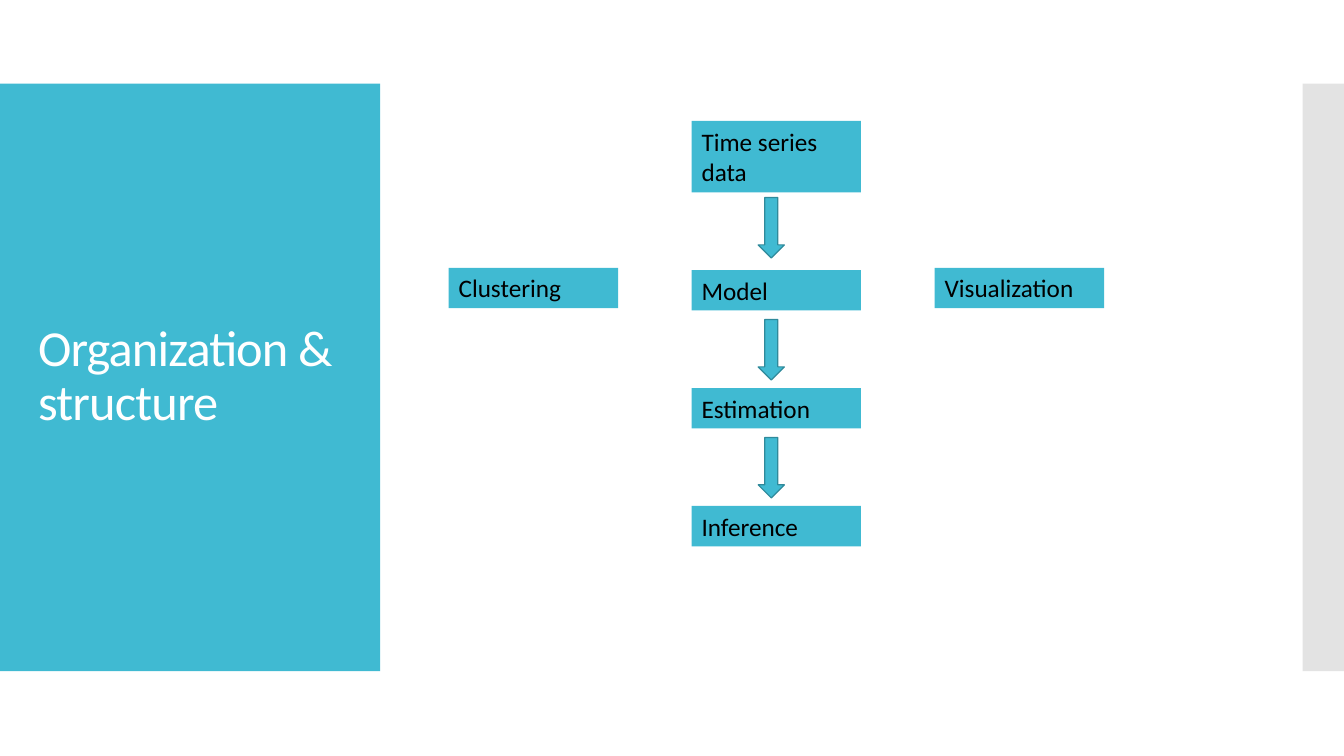
from lxml import etree
from pptx import Presentation
from pptx.dml.color import RGBColor
from pptx.enum.shapes import MSO_SHAPE
from pptx.enum.text import MSO_ANCHOR, MSO_AUTO_SIZE, PP_ALIGN
from pptx.oxml.ns import qn
from pptx.util import Inches, Pt

RECTANGLE, DOWN_ARROW = MSO_SHAPE.RECTANGLE, MSO_SHAPE.DOWN_ARROW
MIDDLE, TOP = MSO_ANCHOR.MIDDLE, MSO_ANCHOR.TOP
LEFT = PP_ALIGN.LEFT
GROW = MSO_AUTO_SIZE.SHAPE_TO_FIT_TEXT

SLIDE_W, SLIDE_H = 13.33, 7.5
BAND_TOP, BAND_H = 0.83, 5.83

# Flow grid: left edge of column 0, bottom edge of row 0, and the steps
GRID_LEFT, GRID_BOTTOM = 4.45, 1.91
COLUMN, ROW = 2.41, 1.17
BOX_W, ONE_LINE, TWO_LINES = 1.68, 0.4, 0.71
ARROW_W, ARROW_H, ARROW_INSET = 0.26, 0.6, 0.66

STEPS = [
    ("Time series data", 1, 0, TWO_LINES),
    ("Model", 1, 1, ONE_LINE),
    ("Estimation", 1, 2, ONE_LINE),
    ("Clustering", 0, 0.98, ONE_LINE),
    ("Visualization", 2, 0.98, ONE_LINE),
    ("Inference", 1, 3, ONE_LINE),
]
ARROW_GAPS = (0.05, 0.09, 0.09)


def rgb(code):
    return RGBColor.from_string(code)


class FlowSlide:
    font = "Calibri"
    accent, outline = "40BAD2", "2F8A9B"
    title_ink, step_ink = "FFFFFF", "000000"

    def __init__(self, slide):
        self.slide = slide

    def shape(self, kind, left, top, width, height, fill):
        shape = self.slide.shapes.add_shape(
            kind, Inches(left), Inches(top), Inches(width), Inches(height))
        shape.shadow.inherit = False
        shape.fill.solid()
        shape.fill.fore_color.rgb = rgb(fill)
        shape.line.fill.background()
        return shape

    def band(self, left, width, fill, opacity=100):
        """Full-height side panel; opacity is in percent."""
        panel = self.shape(RECTANGLE, left, BAND_TOP, width, BAND_H, fill)
        if opacity < 100:
            color = panel._element.spPr.find(qn("a:solidFill"))[0]
            etree.SubElement(color, qn("a:alpha"), val=str(opacity * 1000))

    def add_text(self, frame, text, size, color, anchor):
        frame.word_wrap = True
        frame.vertical_anchor = anchor
        paragraph = frame.paragraphs[0]
        paragraph.alignment = LEFT
        run = paragraph.add_run()
        run.text = text
        run.font.name = self.font
        run.font.size = Pt(size)
        run.font.color.rgb = rgb(color)
        return paragraph, run

    def title(self, text, left, top, width, height):
        box = self.slide.shapes.add_textbox(
            Inches(left), Inches(top), Inches(width), Inches(height))
        paragraph, run = self.add_text(
            box.text_frame, text, 36, self.title_ink, MIDDLE)
        paragraph.line_spacing = 0.9
        run._r.get_or_add_rPr().set("spc", "-60")

    def step(self, text, column, row, height):
        """Box whose bottom edge rests on the given grid row."""
        left = GRID_LEFT + column * COLUMN
        top = GRID_BOTTOM + row * ROW - height
        box = self.shape(RECTANGLE, left, top, BOX_W, height, self.accent)
        self.add_text(box.text_frame, text, 18, self.step_ink, TOP)
        box.text_frame.auto_size = GROW

    def arrow(self, column, row, gap):
        """Arrow hanging below the box of the given grid cell."""
        left = GRID_LEFT + column * COLUMN + ARROW_INSET
        top = GRID_BOTTOM + row * ROW + gap
        arrow = self.shape(
            DOWN_ARROW, left, top, ARROW_W, ARROW_H, self.accent)
        arrow.line.color.rgb = rgb(self.outline)
        arrow.line.width = Pt(0.85)


def main():
    deck = Presentation()
    deck.slide_width, deck.slide_height = Inches(SLIDE_W), Inches(SLIDE_H)
    flow = FlowSlide(deck.slides.add_slide(deck.slide_layouts[6]))

    flow.band(0, 3.77, flow.accent)
    flow.band(SLIDE_W - 0.41, 0.41, "C8C8C8", opacity=50)
    flow.title("Organization & structure", 0.28, 1.23, 3.22, 5.03)
    for step in STEPS:
        flow.step(*step)
    for row, gap in enumerate(ARROW_GAPS):
        flow.arrow(1, row, gap)

    deck.save("out.pptx")


if __name__ == "__main__":
    main()
